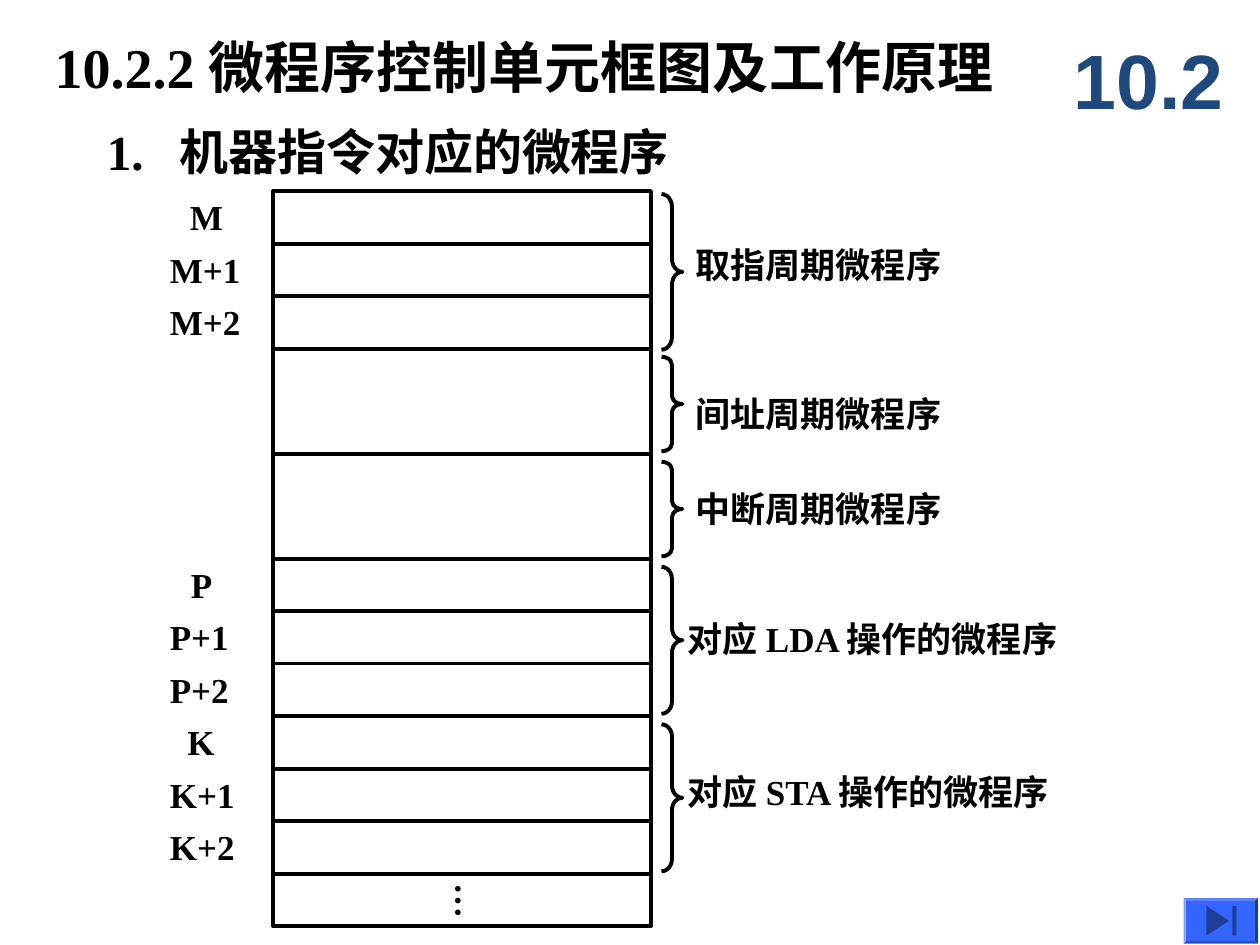
from dataclasses import dataclass
from itertools import accumulate

from lxml import etree
from pptx import Presentation
from pptx.dml.color import RGBColor as Color
from pptx.enum.shapes import MSO_SHAPE as Shape
from pptx.enum.text import MSO_ANCHOR as Anchor, MSO_AUTO_SIZE as AutoSize, PP_ALIGN as Align
from pptx.oxml.ns import qn
from pptx.util import Pt


@dataclass(frozen=True)
class Theme:
    ink: Color = Color(0, 0, 0)
    section: Color = Color(0x1F, 0x49, 0x7D)
    button: Color = Color(0x33, 0x66, 0xFF)
    icon: Color = Color(0x1F, 0x3D, 0x99)
    serif: str = "Times New Roman"
    sans: str = "Arial"
    title: int = 32
    heading: int = 28
    body: int = 20
    number: int = 44
    line: float = 2.25


@dataclass(frozen=True)
class Box:
    left: float
    top: float
    width: float
    height: float

    def inner(self, left, top, width, height):
        return Box(self.left + left, self.top + top, width, height)

    def lengths(self):
        return [Pt(v) for v in (self.left, self.top, self.width, self.height)]


THEME = Theme()
ROW = 30
ROW_SPANS = [1, 1, 1, 2, 2, 1, 1, 1, 1, 1, 1, 1]

# letter, first row, left of the bare letter, its width, width of the numbered labels
ADDRESSES = [("M", 0, 11.5, 33, 55), ("P", 7, 12, 27, 50), ("K", 10, 10, 30, 53)]

# text, brace top, brace height, text left, text top, text width
PROGRAMS = [
    ("取指周期微程序", 1.7, 89, 12.5, 26.5, 155),
    ("间址周期微程序", 94.7, 54, 12.5, 111.5, 155),
    ("中断周期微程序", 154.7, 54, 12.5, 166, 155),
    ("对应 LDA 操作的微程序", 214.7, 84, 8, 240, 236),
    ("对应 STA 操作的微程序", 304.7, 84, 8, 327.5, 233),
]


def set_all(target, values):
    for name, value in values.items():
        setattr(target, name, value)


def write(shape, text, size, font=THEME.serif, color=THEME.ink, tab=None, **frame_values):
    frame = shape.text_frame
    set_all(frame, {
        "margin_left": Pt(7.2), "margin_right": Pt(7.2),
        "margin_top": Pt(3.6), "margin_bottom": Pt(3.6),
        "word_wrap": True, "vertical_anchor": Anchor.TOP,
        "auto_size": AutoSize.SHAPE_TO_FIT_TEXT, **frame_values})
    para = frame.paragraphs[0]
    para.alignment = Align.LEFT
    if tab:
        stops = etree.SubElement(para._p.get_or_add_pPr(), qn("a:tabLst"))
        etree.SubElement(stops, qn("a:tab"), pos=str(Pt(tab)), algn="l")
    span = para.add_run()
    span.text = text
    set_all(span.font, {"name": font, "size": Pt(size), "bold": True})
    span.font.color.rgb = color


def add_text(page, box, text, size, **values):
    shape = page.shapes.add_textbox(*box.lengths())
    write(shape, text, size, **values)
    return shape


def add_outline(page, kind, box):
    shape = page.shapes.add_shape(kind, *box.lengths())
    shape.shadow.inherit = False
    shape.fill.background()
    shape.line.color.rgb = THEME.ink
    shape.line.width = Pt(THEME.line)
    return shape


def paint(shape, color):
    shape.shadow.inherit = False
    shape.fill.solid()
    shape.fill.fore_color.rgb = color
    shape.line.fill.background()


def add_headings(page, box):
    title = page.shapes.title
    place = box.inner(0, 0.5, 576, 46)
    set_all(title, dict(zip(("left", "top", "width", "height"), place.lengths())))
    write(title, "10.2.2 微程序控制单元框图及工作原理", THEME.title)
    add_text(page, box.inner(30, 51.5, 384, 41), "1.\t机器指令对应的微程序",
             THEME.heading, tab=41.5)
    add_text(page, box.inner(582.5, -2.5, 114, 66), "10.2", THEME.number,
             font=THEME.sans, color=THEME.section,
             vertical_anchor=Anchor.MIDDLE, auto_size=AutoSize.NONE)


def add_memory(page, box):
    starts = accumulate(ROW_SPANS, initial=0)
    for start, span in zip(starts, ROW_SPANS):
        add_outline(page, Shape.RECTANGLE,
                    box.inner(0, start * ROW, box.width, span * ROW))
    # Vertical ellipsis in the last row
    dots = add_text(page, box.inner(90, 388.5, 38, 27.5), "…", THEME.body, word_wrap=False,
                    margin_left=Pt(3.6), margin_right=Pt(3.6),
                    margin_top=Pt(7.2), margin_bottom=Pt(7.2))
    dots.text_frame._txBody.bodyPr.set("vert", "eaVert")


def add_addresses(page, box):
    for letter, first, indent, narrow, wide in ADDRESSES:
        for step in range(3):
            left, width = (0, wide) if step else (indent, narrow)
            add_text(page, box.inner(left, (first + step) * ROW - 1, width, 31.5),
                     f"{letter}+{step}" if step else letter, THEME.body, word_wrap=False)


def add_programs(page, box):
    for text, top, height, text_left, text_top, text_width in PROGRAMS:
        brace = add_outline(page, Shape.RIGHT_BRACE, box.inner(0, top, 12, height))
        brace.adjustments[0] = height / 12 / 12
        add_text(page, box.inner(text_left, text_top, text_width, 31.5), text, THEME.body)


def add_next_button(page, box):
    face = page.shapes.add_shape(Shape.BEVEL, *box.lengths())
    face.adjustments[0] = 0.06
    paint(face, THEME.button)
    # Triangle and bar
    middle = box.top + box.height / 2
    left = box.left + 13
    builder = page.shapes.build_freeform(Pt(left), Pt(middle - 8.5))
    builder.add_line_segments([(Pt(left + 13), Pt(middle)), (Pt(left), Pt(middle + 8.5))])
    paint(builder.convert_to_shape(), THEME.icon)
    bar = Box(left + 15, middle - 8.5, 2.2, 17)
    paint(page.shapes.add_shape(Shape.RECTANGLE, *bar.lengths()), THEME.icon)


def main():
    deck = Presentation()
    deck.slide_width, deck.slide_height = Pt(720), Pt(540)
    page = deck.slides.add_slide(deck.slide_layouts[5])
    add_headings(page, Box(24, 14.4, 696, 92))
    add_memory(page, Box(156, 109.2, 216, 420))
    add_addresses(page, Box(90, 109.2, 55, 420))
    add_programs(page, Box(378, 109.2, 244, 420))
    add_next_button(page, Box(676.3, 513.2, 42.5, 26))
    deck.save("out.pptx")


if __name__ == "__main__":
    main()
